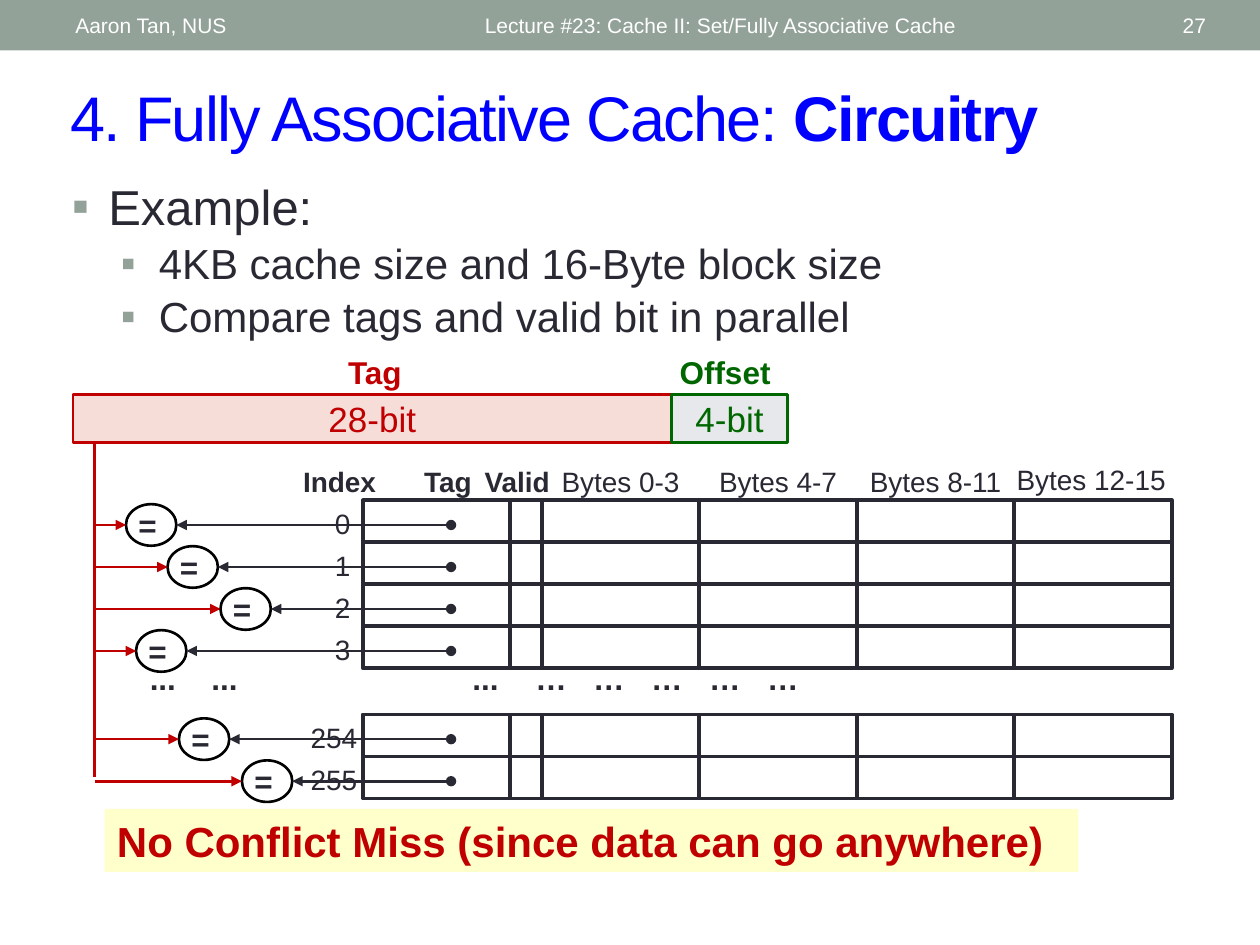
from pptx import Presentation
from pptx.dml.color import RGBColor
from pptx.enum.shapes import MSO_CONNECTOR, MSO_SHAPE
from pptx.enum.text import MSO_ANCHOR, PP_ALIGN
from pptx.oxml.ns import qn
from pptx.util import Inches, Pt
from lxml import etree

LEFT, CENTER, RIGHT = PP_ALIGN.LEFT, PP_ALIGN.CENTER, PP_ALIGN.RIGHT
TOP, MIDDLE = MSO_ANCHOR.TOP, MSO_ANCHOR.MIDDLE
RECT, OVAL = MSO_SHAPE.RECTANGLE, MSO_SHAPE.OVAL
STRAIGHT = MSO_CONNECTOR.STRAIGHT

SAGE = RGBColor(0x93, 0xA2, 0x99)
WHITE = RGBColor(0xFF, 0xFF, 0xFF)
BLACK = RGBColor(0, 0, 0)
INK = RGBColor(0x29, 0x29, 0x34)
BLUE = RGBColor(0, 0, 0xFF)
RED = RGBColor(0xC0, 0, 0)
GREEN = RGBColor(0, 0x66, 0)
PINK = RGBColor(0xF6, 0xDD, 0xD8)
GRAY = RGBColor(0xE6, 0xE8, 0xEC)
YELLOW = RGBColor(0xFF, 0xFF, 0xCC)

# Content
HEADER = [("Lecture #23: Cache II: Set/Fully Associative Cache", 3.75, 4.5, LEFT),
          ("Aaron Tan, NUS", 0.5, 3.17, LEFT), ("27", 8.72, 0.95, RIGHT)]
TITLE = [("4. Fully Associative Cache: ", False), ("Circuitry", True)]
# text, level, size, left margin, hanging indent, space before
BULLETS = [("Example:", 0, 28, 0.29, 0.29, 0),
           ("4KB cache size and 16-Byte block size", 1, 24, 0.69, 0.3, 1.5),
           ("Compare tags and valid bit in parallel", 1, 24, 0.69, 0.3, 1.5)]
# label, label left and width, value, field left and width, fill, colour
FIELDS = [("Tag", 2.58, 0.79, "28-bit", 0.58, 4.75, PINK, RED),
          ("Offset", 5.17, 1.17, "4-bit", 5.33, 0.92, GRAY, GREEN)]
# text, left, top, width, bold
HEADINGS = [("Index", 2.3, 3.64, 0.79, True), ("Tag", 3.24, 3.64, 0.63, True),
            ("Valid", 3.74, 3.64, 0.73, True), ("Bytes 0-3", 4.3, 3.64, 1.25, False),
            ("Bytes 4-7", 5.55, 3.64, 1.25, False), ("Bytes 8-11", 6.8, 3.64, 1.25, False),
            ("Bytes 12-15", 7.95, 3.62, 1.42, False)]
COLUMNS = [1.17, 0.25] + [1.25] * 4
GRID_LEFT, ROW_H = 2.88, 1 / 3
# first row top, rows of (index, comparator left)
BLOCKS = [(3.97, [("0", 1.0), ("1", 1.33), ("2", 1.75), ("3", 1.08)]),
          (5.67, [("254", 1.42), ("255", 1.92)])]
ELLIPSES = [("...", 0.34), ("...", 0.83), ("...", 2.9)]
ELLIPSES += [("…", 3.4 + 0.46 * i) for i in range(5)]
TRUNK_X, DOT_X, COMP_W, COMP_H = 0.75, 3.58, 0.4, 0.33


def put_text(shape, text, size=16, color=INK, bold=False, align=LEFT, anchor=TOP,
             wrap=True, inset=0.1, spc=None):
    """Write one paragraph; text is a string or a list of (text, bold) runs."""
    tf = shape.text_frame
    tf.word_wrap = wrap
    tf.vertical_anchor = anchor
    tf.margin_left = tf.margin_right = Inches(inset)
    p = tf.paragraphs[0]
    p.alignment = align
    for part, heavy in ([(text, bold)] if isinstance(text, str) else text):
        r = p.add_run()
        r.text = part
        f = r.font
        f.name, f.size, f.bold, f.color.rgb = "Arial", Pt(size), heavy, color
        if spc is not None:
            r._r.get_or_add_rPr().set("spc", str(spc))
    return p


def textbox(text, x, y, w, h, **fmt):
    return put_text(s.shapes.add_textbox(Inches(x), Inches(y), Inches(w), Inches(h)), text, **fmt)


def box(x, y, w, h, fill=None, line=None, width=2, kind=RECT):
    sp = s.shapes.add_shape(kind, Inches(x), Inches(y), Inches(w), Inches(h))
    sp.shadow.inherit = False
    if fill is None:
        sp.fill.background()
    else:
        sp.fill.solid()
        sp.fill.fore_color.rgb = fill
    if line is None:
        sp.line.fill.background()
    else:
        sp.line.color.rgb, sp.line.width = line, Pt(width)
    return sp


def wire(x1, y1, x2, y2, color, head=None, tail=None):
    c = s.shapes.add_connector(STRAIGHT, Inches(x1), Inches(y1), Inches(x2), Inches(y2))
    c.line.color.rgb, c.line.width = color, Pt(1.5)
    ln = c.line._get_or_add_ln()
    for tag, kind in (("a:headEnd", head), ("a:tailEnd", tail)):
        if kind:
            etree.SubElement(ln, qn(tag), type=kind)
    etree.SubElement(c._element.spPr, qn("a:effectLst"))


prs = Presentation()
prs.slide_width, prs.slide_height = Inches(10), Inches(7.5)
s = prs.slides.add_slide(prs.slide_layouts[6])

# Header band and title
box(0, 0, 10, 0.4, SAGE)
for text, x, w, align in HEADER:
    textbox(text, x, 0.02, w, 0.36, size=12, color=WHITE, align=align, anchor=MIDDLE)
textbox(TITLE, 0.46, 0.57, 9.21, 0.7, size=36, color=BLUE, anchor=MIDDLE, spc=-100)

# Bullets
tf = s.shapes.add_textbox(Inches(0.5), Inches(1.34), Inches(9.19), Inches(1.34)).text_frame
tf.word_wrap = True
tf.margin_left = tf.margin_right = Inches(0.07)
tf.margin_top, tf.margin_bottom = Inches(0.06), Inches(0.03)
for i, (text, level, size, margin, hang, before) in enumerate(BULLETS):
    p = tf.add_paragraph() if i else tf.paragraphs[0]
    p.level, p.space_before = level, Pt(before)
    pPr = p._p.get_or_add_pPr()
    pPr.set("marL", str(Inches(margin)))
    pPr.set("indent", str(-Inches(hang)))
    etree.SubElement(etree.SubElement(pPr, qn("a:buClr")), qn("a:srgbClr"), val=str(SAGE))
    etree.SubElement(pPr, qn("a:buFont"), typeface="Arial")
    etree.SubElement(pPr, qn("a:buChar"), char="▪")
    r = p.add_run()
    r.text = text
    r.font.name, r.font.size, r.font.color.rgb = "Arial", Pt(size), INK

# Conclusion
put_text(box(0.83, 6.42, 7.73, 0.5, YELLOW), "No Conflict Miss (since data can go anywhere)",
         size=24, color=RED, bold=True)

# Cache grid with row indexes
for top, rows in BLOCKS:
    for i, (index, _) in enumerate(rows):
        y, x = top + i * ROW_H, GRID_LEFT
        for w in COLUMNS:
            box(x, y, w, ROW_H, line=INK)
            x += w
        left, w = (2.55, 0.34) if len(index) == 1 else (2.36, 0.58)
        textbox(index, left, y, w, 0.37, align=CENTER, wrap=False)
for text, x, y, w, bold in HEADINGS:
    textbox(text, x, y, w, 0.37, bold=bold, align=CENTER, wrap=False)

# Omitted rows, placed by tab stops
p = textbox("".join("\t" + dots for dots, _ in ELLIPSES), 0.75, 5.18, 8.21, 0.4,
            size=18, bold=True)
tabs = etree.SubElement(p._p.get_or_add_pPr(), qn("a:tabLst"))
for _, stop in ELLIPSES:
    etree.SubElement(tabs, qn("a:tab"), pos=str(Inches(stop)), algn="l")

# Address fields
for label, lx, lw, value, x, w, fill, color in FIELDS:
    put_text(box(x, 3.13, w, 0.38, fill, color, 1.5), value, size=20, color=color,
             align=CENTER, anchor=MIDDLE)
    textbox(label, lx, 2.75, lw, 0.36, size=18, color=color, bold=True, align=CENTER)

# Comparators and their wires
wire(TRUNK_X, 3.5, TRUNK_X, 6.17, RED)
for top, rows in BLOCKS:
    for i, (_, x) in enumerate(rows):
        y = top + (i + 0.5) * ROW_H + 0.03
        comparator = box(x, y - COMP_H / 2, COMP_W, COMP_H, WHITE, BLACK, 1.5, OVAL)
        put_text(comparator, "=", size=18, bold=True, anchor=MIDDLE, wrap=False, inset=0.04)
        wire(DOT_X, y, x + COMP_W, y, INK, head="oval", tail="triangle")
        wire(TRUNK_X, y, x, y, RED, tail="triangle")

prs.save("out.pptx")
